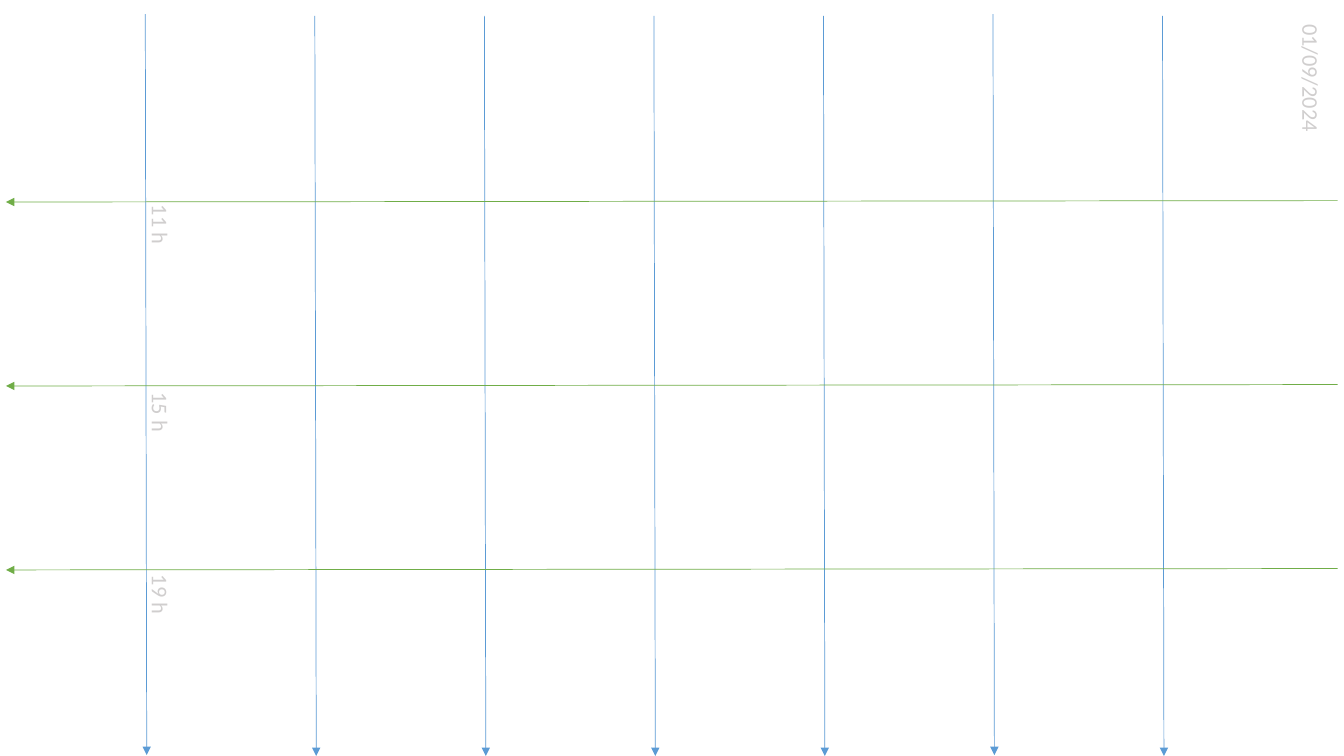
from dataclasses import dataclass

import lxml.etree
import pptx
import pptx.dml.color
import pptx.enum.shapes
import pptx.enum.text
import pptx.oxml.ns
import pptx.slide
import pptx.util

Pt = pptx.util.Pt
COLORS = {"day": "5B9BD5", "hour": "70AD47", "label": "D0CECE"}
DAY_COUNT = 7
FIRST_DAY_X = 103.8
DAY_GAP = 121.1
RAISED_DAYS = (0, 5)
FIRST_HOUR_Y = 143.3
HOUR_GAP = 131.4


@dataclass(frozen=True)
class Arrow:
    start_x: float
    start_y: float
    end_x: float
    end_y: float
    color: str


@dataclass(frozen=True)
class Label:
    text: str
    left: float
    top: float
    width: float


LABELS = [
    Label("01/09/2024", 828.7, 103.7, 216),
    Label("11 h", 87.1, 152.6, 55.4),
    Label("15 h", 87.1, 286.6, 55.4),
    Label("19 h", 87.1, 416.9, 55.4),
]


def day_arrow(day: int) -> Arrow:
    x = FIRST_DAY_X + day * DAY_GAP
    top, bottom = (10.1, 539.3) if day in RAISED_DAYS else (11.3, 540)
    return Arrow(x, top, x + 1, bottom, "day")


def hour_arrow(row: int) -> Arrow:
    y = FIRST_HOUR_Y + row * HOUR_GAP
    return Arrow(955.4, y, 4.3, y + 1, "hour")


def draw_arrow(slide: pptx.slide.Slide, arrow: Arrow) -> None:
    connector = slide.shapes.add_connector(
        pptx.enum.shapes.MSO_CONNECTOR.STRAIGHT,
        Pt(arrow.start_x), Pt(arrow.start_y), Pt(arrow.end_x), Pt(arrow.end_y),
    )
    connector.line.width = Pt(0.5)
    connector.line.color.rgb = pptx.dml.color.RGBColor.from_string(COLORS[arrow.color])
    qn = pptx.oxml.ns.qn
    lxml.etree.SubElement(connector.line._get_or_add_ln(), qn("a:tailEnd"), type="triangle")
    lxml.etree.SubElement(connector._element.spPr, qn("a:effectLst"))


def draw_label(slide: pptx.slide.Slide, label: Label) -> None:
    box = slide.shapes.add_textbox(Pt(label.left), Pt(label.top), Pt(label.width), Pt(28.8))
    box.rotation = 90
    box.text_frame.word_wrap = True
    box.text_frame.vertical_anchor = pptx.enum.text.MSO_ANCHOR.MIDDLE
    paragraph = box.text_frame.paragraphs[0]
    paragraph.text = label.text
    paragraph.font.name = "Calibri"
    paragraph.font.size = Pt(16)
    paragraph.font.color.rgb = pptx.dml.color.RGBColor.from_string(COLORS["label"])


def main() -> None:
    presentation = pptx.Presentation()
    presentation.slide_width = Pt(960)
    presentation.slide_height = Pt(540)
    slide = presentation.slides.add_slide(presentation.slide_layouts.get_by_name("Blank"))
    for day in range(DAY_COUNT):
        draw_arrow(slide, day_arrow(day))
    for row in range(3):
        draw_arrow(slide, hour_arrow(row))
    for label in LABELS:
        draw_label(slide, label)
    presentation.save("out.pptx")


if __name__ == "__main__":
    main()
